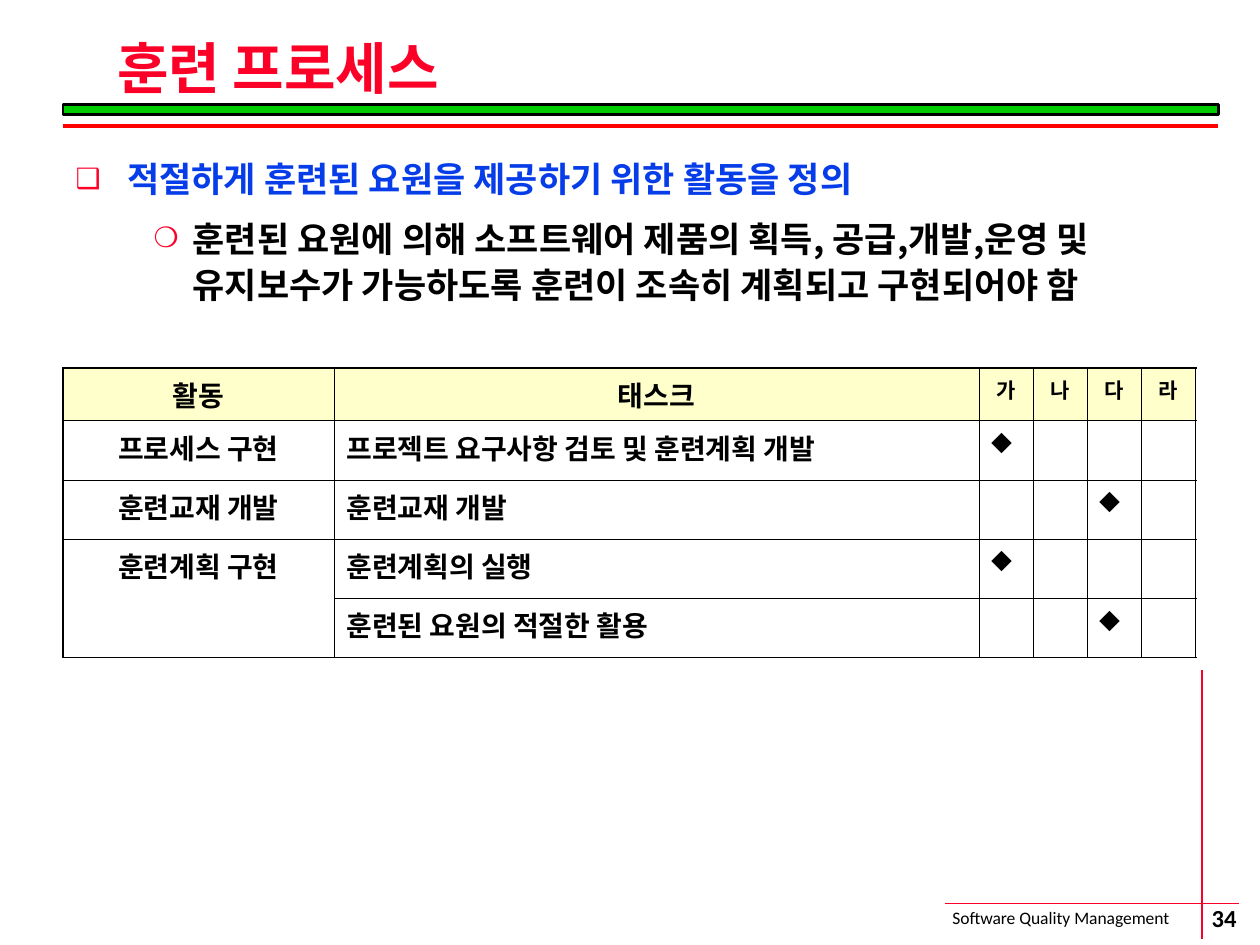
from lxml import etree
from pptx import Presentation
from pptx.dml.color import RGBColor
from pptx.enum.shapes import MSO_CONNECTOR, MSO_SHAPE
from pptx.enum.text import MSO_ANCHOR, MSO_AUTO_SIZE, PP_ALIGN
from pptx.oxml.ns import qn
from pptx.util import Inches, Pt

LINE, RECT = MSO_CONNECTOR.STRAIGHT, MSO_SHAPE.RECTANGLE
MID, TOP = MSO_ANCHOR.MIDDLE, MSO_ANCHOR.TOP
LEFT, CENTER = PP_ALIGN.LEFT, PP_ALIGN.CENTER
FIXED = MSO_AUTO_SIZE.NONE

BLACK = RGBColor(0x00, 0x00, 0x00)
RED = RGBColor(0xFF, 0x00, 0x00)
ROSE = RGBColor(0xFC, 0x01, 0x28)
BLUE = RGBColor(0x06, 0x3D, 0xE8)
GREEN = RGBColor(0x00, 0xCC, 0x00)
CREAM = RGBColor(0xFF, 0xFF, 0xCC)

KOREAN, LATIN, HEAD = "Noto Sans CJK KR", "Calibri", "Cabin"
EDGE, INNER = 1.08, 0.45
MARK = "◆"

COLS = [2.15, 5.12] + [0.43] * 4
ROWS = [0.42] + [0.47] * 4
CELLS = [
    ["활동", "태스크", "가", "나", "다", "라"],
    ["프로세스 구현", "프로젝트 요구사항 검토 및 훈련계획 개발", MARK, "", "", ""],
    ["훈련교재 개발", "훈련교재 개발", "", "", MARK, ""],
    ["훈련계획 구현", "훈련계획의 실행", MARK, "", "", ""],
    ["", "훈련된 요원의 적절한 활용", "", "", MARK, ""],
]
POINTS = [
    ("적절하게 훈련된 요원을 제공하기 위한 활동을 정의", BLUE, "❑", 0.41, -0.41),
    ("훈련된 요원에 의해 소프트웨어 제품의 획득, 공급,개발,운영 및 "
     "유지보수가 가능하도록 훈련이 조속히 계획되고 구현되어야 함",
     BLACK, "❍", 0.93, -0.31),
]


def style(para, size, color=BLACK, name=KOREAN, bold=True, align=LEFT):
    para.alignment = align
    font = para.font
    font.size, font.bold, font.name = Pt(size), bold, name
    font.color.rgb = color
    base = para._p.pPr.find(qn("a:defRPr"))
    etree.SubElement(base, qn("a:ea"), typeface=KOREAN)


def place(shape, x, y, w, h):
    shape.left, shape.top = Inches(x), Inches(y)
    shape.width, shape.height = Inches(w), Inches(h)


def add_line(slide, start, end, color, width):
    line = slide.shapes.add_connector(LINE, *map(Inches, start + end))
    line.line.color.rgb = color
    line.line.width = Pt(width)
    etree.SubElement(line._element.spPr, qn("a:effectLst"))


def add_label(slide, box, text, size, bold=False, align=LEFT, anchor=TOP, pad=None):
    frame = slide.shapes.add_textbox(*map(Inches, box)).text_frame
    frame.word_wrap = False
    frame.vertical_anchor = anchor
    if pad is not None:
        frame.margin_left = frame.margin_right = pad
        frame.margin_top = frame.margin_bottom = pad
    para = frame.paragraphs[0]
    para.text = text
    style(para, size, name=LATIN, bold=bold, align=align)


def add_bullet(para, char, margin, indent):
    props = para._p.get_or_add_pPr()
    props.set("marL", str(Inches(margin)))
    props.set("indent", str(Inches(indent)))
    color = etree.SubElement(props, qn("a:buClr"))
    etree.SubElement(color, qn("a:srgbClr"), val=str(ROSE))
    etree.SubElement(props, qn("a:buSzPct"), val="80000")
    etree.SubElement(props, qn("a:buChar"), char=char)


def fill_title(slide):
    title = slide.shapes.title
    place(title, 0.83, 0.33, 8.81, 0.48)
    frame = title.text_frame
    frame.auto_size = FIXED
    frame.vertical_anchor = MID
    para = frame.paragraphs[0]
    para.text = "훈련 프로세스"
    para.line_spacing = 0.9
    style(para, 32, ROSE)


def fill_body(slide):
    body = slide.placeholders[1]
    place(body, 0.5, 1.17, 9.17, 6.02)
    frame = body.text_frame
    frame.auto_size = FIXED
    for i, (text, color, char, margin, indent) in enumerate(POINTS):
        para = frame.add_paragraph() if i else frame.paragraphs[0]
        para.text, para.level = text, i
        add_bullet(para, char, margin, indent)
        para.line_spacing = 1.1
        para.space_before = Pt(7.5 if i else 0)
        style(para, 20, color)


def set_border(cell, row, col):
    """Draw thick lines on the outer edge of the table, thin ones inside."""
    outer = {"L": col == 0, "R": col == len(COLS) - 1,
             "T": row == 0, "B": row == len(ROWS) - 1}
    props = cell._tc.get_or_add_tcPr()
    for i, (side, edge) in enumerate(outer.items()):
        line = etree.Element(qn("a:ln" + side), w=str(Pt(EDGE if edge else INNER)))
        fill = etree.SubElement(line, qn("a:solidFill"))
        etree.SubElement(fill, qn("a:srgbClr"), val=str(BLACK))
        props.insert(i, line)


def fill_cell(cell, text, row, col):
    if row == 0:
        cell.fill.solid()
        cell.fill.fore_color.rgb = CREAM
    else:
        cell.fill.background()
    set_border(cell, row, col)
    if not text:
        return
    para = cell.text_frame.paragraphs[0]
    para.text = text
    narrow = col > 1
    name = KOREAN if row else LATIN if narrow else HEAD
    style(para, 12 if narrow else 16, name=name, bold=text != MARK,
          align=CENTER if row == 0 or col == 0 else LEFT)


def add_grid(slide):
    box = map(Inches, (0.5, 2.92, sum(COLS), sum(ROWS)))
    table = slide.shapes.add_table(len(ROWS), len(COLS), *box).table
    table.first_row = table.horz_banding = False
    for col, width in zip(table.columns, COLS):
        col.width = Inches(width)
    for row, height in zip(table.rows, ROWS):
        row.height = Inches(height)
    for r, texts in enumerate(CELLS):
        for c, text in enumerate(texts):
            fill_cell(table.cell(r, c), text, r, c)
    table.cell(3, 0).merge(table.cell(4, 0))


def add_frame(slide):
    """Draw the bar under the title and the footer in the corner."""
    bar = slide.shapes.add_shape(RECT, *map(Inches, (0.5, 0.83, 9.17, 0.08)))
    bar.shadow.inherit = False
    bar.fill.solid()
    bar.fill.fore_color.rgb = GREEN
    bar.line.color.rgb = BLACK
    bar.line.width = Pt(1.5)
    add_line(slide, (0.5, 1), (9.67, 1), RED, 2.25)
    add_line(slide, (7.5, 7.17), (9.83, 7.17), ROSE, 1)
    add_line(slide, (9.54, 5.32), (9.54, 7.45), ROSE, 1)
    add_label(slide, (7.46, 7.15, 2.19, 0.27), "Software Quality Management", 10)
    add_label(slide, (9.22, 7.14, 0.99, 0.28), "34", 14, True, CENTER, MID, 0)


def main():
    deck = Presentation()
    deck.slide_width, deck.slide_height = Inches(10), Inches(7.5)
    slide = deck.slides.add_slide(deck.slide_layouts[1])
    add_frame(slide)
    fill_body(slide)
    fill_title(slide)
    add_grid(slide)
    deck.save("out.pptx")


if __name__ == "__main__":
    main()
